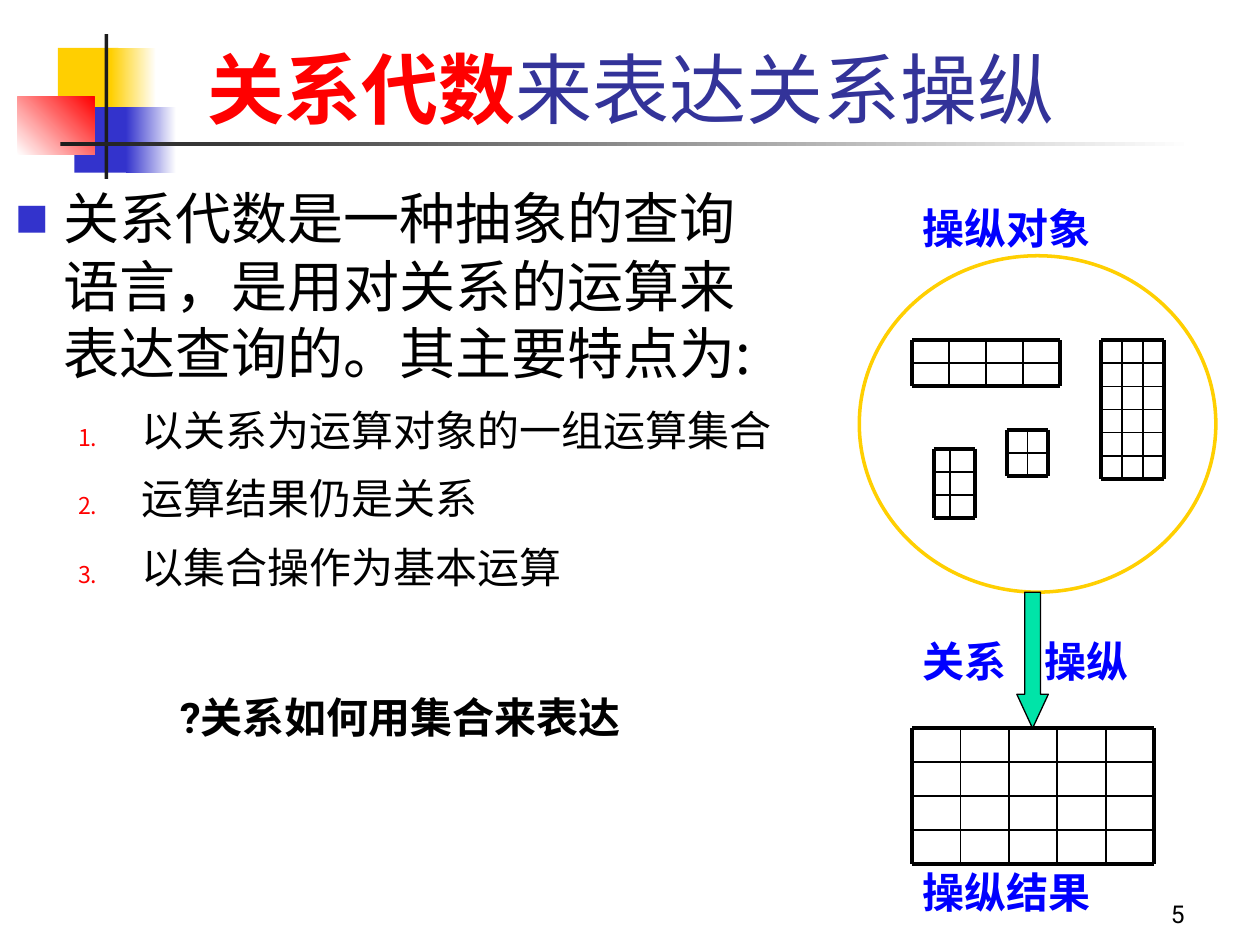
from itertools import accumulate

from lxml import etree
from pptx import Presentation
from pptx.dml.color import RGBColor
from pptx.enum.shapes import MSO_CONNECTOR, MSO_SHAPE
from pptx.enum.text import MSO_ANCHOR, MSO_AUTO_SIZE, PP_ALIGN
from pptx.oxml.ns import qn
from pptx.util import Inches, Pt

STRAIGHT = MSO_CONNECTOR.STRAIGHT
RECTANGLE, ELLIPSE, DOWN_ARROW = MSO_SHAPE.RECTANGLE, MSO_SHAPE.OVAL, MSO_SHAPE.DOWN_ARROW
TOP, BOTTOM = MSO_ANCHOR.TOP, MSO_ANCHOR.BOTTOM
LEFT, CENTER, RIGHT, JUSTIFY = PP_ALIGN.LEFT, PP_ALIGN.CENTER, PP_ALIGN.RIGHT, PP_ALIGN.JUSTIFY
NO_AUTOFIT = MSO_AUTO_SIZE.NONE

CJK, SANS, SERIF = "Noto Sans CJK SC", "Roboto", "Times New Roman"
BLACK, WHITE, DARK = "000000", "FFFFFF", "1C1C1C"
YELLOW, BLUE, RED, GREEN = "FFCF01", "3333CC", "FF0000", "00E4A8"
TITLE_BLUE, LABEL_BLUE = "333399", "0000FF"


def color(value):
    return RGBColor.from_string(value)


def add_xml(parent, tag, **attributes):
    return etree.SubElement(parent, qn(tag), attributes)


class SlideBuilder:
    def __init__(self, deck):
        self.slide = deck.slides.add_slide(deck.slide_layouts[1])
        self.shapes = self.slide.shapes

    def style(self, span, size, fill, font=CJK, bold=False):
        span.font.size = Pt(size)
        span.font.bold = bold
        span.font.color.rgb = color(fill)
        span.font.name = font
        add_xml(span.font._element, "a:ea", typeface=CJK)

    def place(self, shape, left, top, width, height):
        shape.left, shape.top = Inches(left), Inches(top)
        shape.width, shape.height = Inches(width), Inches(height)

    def bullet(self, paragraph, margin, hanging, fill, percent, tag, **attributes):
        properties = paragraph._p.get_or_add_pPr()
        properties.set("marL", str(Inches(margin)))
        properties.set("indent", str(-Inches(hanging)))
        add_xml(add_xml(properties, "a:buClr"), "a:srgbClr", val=fill)
        add_xml(properties, "a:buSzPct", val=str(percent * 1000))
        add_xml(properties, "a:buFont", typeface=CJK)
        add_xml(properties, tag, **attributes)

    def title(self, bounds, parts):
        """Write the title from (text, colour, bold) parts."""
        box = self.shapes.title
        self.place(box, *bounds)
        frame = box.text_frame
        frame.auto_size = NO_AUTOFIT
        frame.vertical_anchor = BOTTOM
        para = frame.paragraphs[0]
        para.alignment = CENTER
        for text, fill, bold in parts:
            span = para.add_run()
            span.text = text
            self.style(span, 44, fill, bold=bold)

    def body(self, bounds, lead, items):
        box = self.slide.placeholders[1]
        self.place(box, *bounds)
        frame = box.text_frame
        frame.text = "\n".join([lead, *items])
        frame.auto_size = NO_AUTOFIT
        first, *others = frame.paragraphs
        self.bullet(first, 0.38, 0.38, BLUE, 60, "a:buChar", char="■")
        first.space_before = Pt(0)
        self.style(first.runs[0], 32, BLACK)
        for para in others:
            para.level = 1
            para.alignment = JUSTIFY
            para.line_spacing = 1.2
            para.space_before = Pt(4.8)
            self.bullet(para, 1, 0.5, RED, 55, "a:buAutoNum", type="arabicPeriod")
            self.style(para.runs[0], 24, BLACK)

    def text(self, bounds, text, size, fill, font, bold=False, align=LEFT,
             anchor=TOP, inset=None, margin=0, tab=None):
        box = self.shapes.add_textbox(*map(Inches, bounds))
        frame = box.text_frame
        frame.word_wrap = True
        frame.vertical_anchor = anchor
        if inset is not None:
            frame.margin_left = frame.margin_right = Inches(inset)
            frame.margin_top = frame.margin_bottom = Inches(inset)
        frame.text = text
        para = frame.paragraphs[0]
        para.alignment = align
        properties = para._p.get_or_add_pPr()
        properties.set("marL", str(Inches(margin)))
        if tab:
            stops = add_xml(properties, "a:tabLst")
            add_xml(stops, "a:tab", pos=str(Inches(tab)), algn="l")
        self.style(para.runs[0], size, fill, font, bold)

    def label(self, top, text, tab=None):
        self.text((7.32, top, 1.92, 0.4), text, 24, LABEL_BLUE, SERIF, True, inset=0, tab=tab)

    def shape(self, kind, bounds, fill=None, line=None, weight=1):
        shape = self.shapes.add_shape(kind, *map(Inches, bounds))
        shape.shadow.inherit = False
        if fill:
            shape.fill.solid()
            shape.fill.fore_color.rgb = color(fill)
        else:
            shape.fill.background()
        if line:
            shape.line.color.rgb = color(line)
            shape.line.width = Pt(weight)
        else:
            shape.line.fill.background()
        return shape

    def gradient(self, bounds, start, end, angle=0):
        fill = self.shape(RECTANGLE, bounds).fill
        fill.gradient()
        fill.gradient_angle = angle
        for stop, value in zip(fill.gradient_stops, (start, end)):
            stop.color.rgb = color(value)

    def line(self, x1, y1, x2, y2, weight):
        line = self.shapes.add_connector(STRAIGHT, *map(Inches, (x1, y1, x2, y2)))
        line.line.color.rgb = color(BLACK)
        line.line.width = Pt(weight)
        add_xml(line._element.spPr, "a:effectLst")

    def grid(self, left, top, widths, heights):
        """Rule an empty relation with a heavy frame and thin inner lines."""
        columns = list(accumulate(widths, initial=left))
        rows = list(accumulate(heights, initial=top))
        for y in rows:
            self.line(left, y, columns[-1], y, 2.25 if y in (top, rows[-1]) else 1)
        for x in columns:
            self.line(x, top, x, rows[-1], 2.25 if x in (left, columns[-1]) else 1)


def main():
    deck = Presentation()
    deck.slide_width, deck.slide_height = Inches(10), Inches(7.5)
    page = SlideBuilder(deck)

    page.shape(RECTANGLE, (0.46, 0.38, 0.48, 0.52), YELLOW)
    page.gradient((0.88, 0.38, 0.36, 0.52), YELLOW, WHITE)
    page.shape(RECTANGLE, (0.59, 0.85, 0.46, 0.52), BLUE)
    page.gradient((1, 0.85, 0.4, 0.52), BLUE, WHITE)
    page.gradient((0.14, 0.77, 0.61, 0.46), WHITE, RED, 45)
    page.shape(RECTANGLE, (0.83, 0.27, 0.03, 1.15), DARK)
    page.gradient((0.48, 1.13, 9, 0.03), DARK, WHITE)

    page.title((0.75, 0.25, 8.52, 0.86),
               [("关系代数", RED, True), ("来表达关系操纵", TITLE_BLUE, False)])
    page.body((0.02, 1.41, 6.35, 5.34),
              "关系代数是一种抽象的查询语言，是用对关系的运算来表达查询的。其主要特点为:",
              ["以关系为运算对象的一组运算集合", "运算结果仍是关系", "以集合操作为基本运算"])
    page.text((0.83, 5.44, 6.1, 0.5), "?关系如何用集合来表达", 24, BLACK, SANS, True, margin=0.5)

    page.shape(ELLIPSE, (6.82, 2.03, 2.83, 2.67), line=YELLOW, weight=2)
    page.grid(7.24, 2.7, [1.17 / 4] * 4, [0.18] * 2)
    page.grid(7.41, 3.56, [0.13, 0.2], [0.55 / 3] * 3)
    page.grid(7.99, 3.41, [0.165] * 2, [0.185] * 2)
    page.grid(8.74, 2.7, [0.5 / 3] * 3, [1.1 / 6] * 6)
    page.grid(7.24, 5.78, [1.92 / 5] * 5, [0.27] * 4)

    page.label(1.61, "操纵对象")
    page.label(5.04, "关系\t操纵", tab=0.97)
    page.label(6.88, "操纵结果")
    arrow = page.shape(DOWN_ARROW, (8.07, 4.7, 0.25, 1.08), GREEN, BLACK, 0.75)
    arrow.adjustments[0], arrow.adjustments[1] = 0.5, 1.08
    page.text((7.42, 6.92, 2.08, 0.5), "5", 14, BLACK, SANS, align=RIGHT, anchor=BOTTOM)

    deck.save("out.pptx")


if __name__ == "__main__":
    main()
